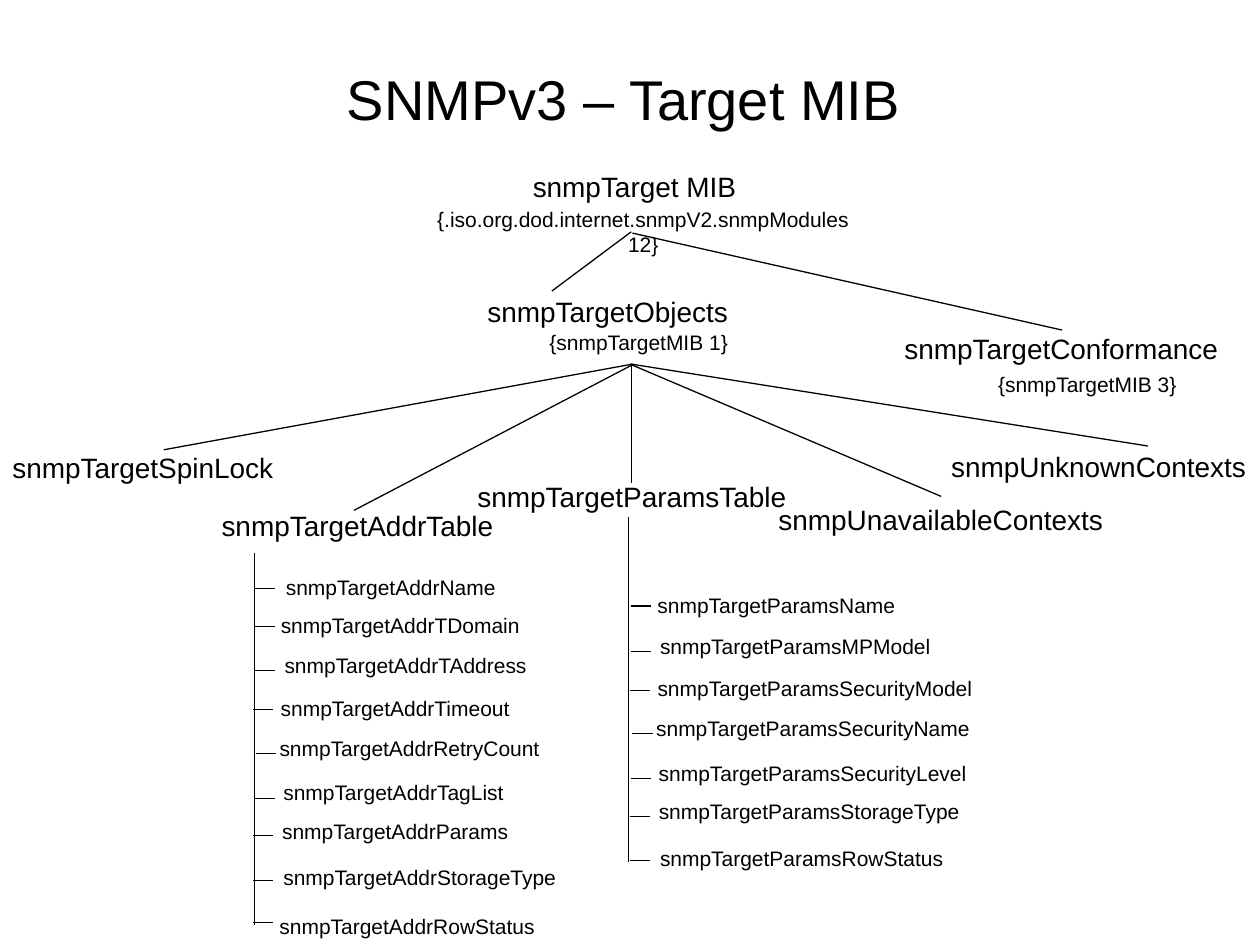
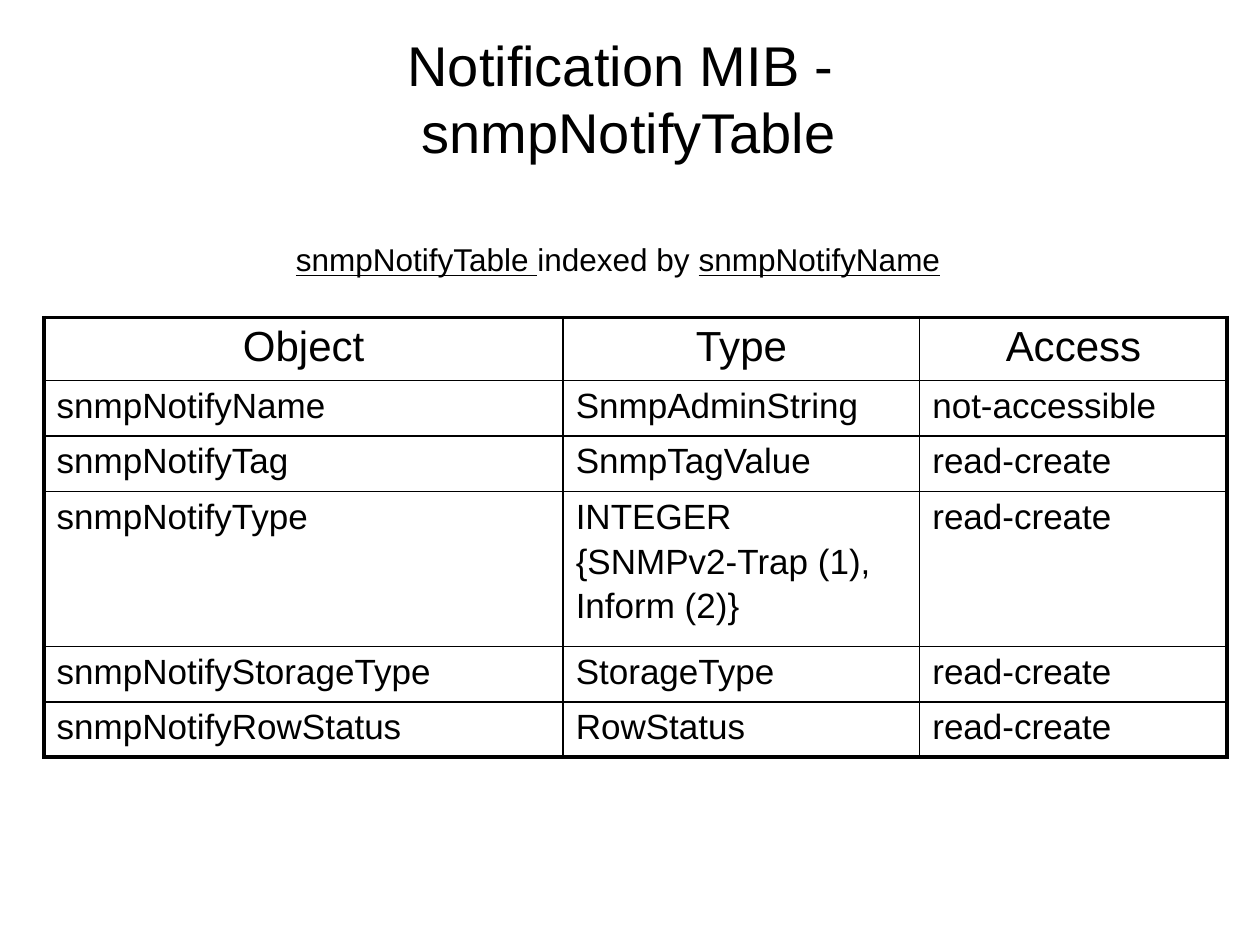
from lxml.etree import SubElement
from pptx import Presentation
from pptx.dml.color import RGBColor
from pptx.enum.shapes import MSO_CONNECTOR
from pptx.enum.text import MSO_ANCHOR, MSO_AUTO_SIZE, PP_ALIGN
from pptx.oxml.ns import qn
from pptx.util import Pt

PX = 9144
BLACK = RGBColor(0, 0, 0)
WHITE = RGBColor(255, 255, 255)
FONT = "Arial"
THIN, THICK = 1, 2.25
TICK_LENGTH = 16

NODES = [
    ("snmpTarget MIB", 413, 130, 185),
    ("snmpTargetObjects", 377, 229, 214),
    ("snmpTargetConformance", 708, 258, 272),
    ("snmpTargetSpinLock", 0, 353, 230),
    ("snmpTargetAddrTable", 166, 399, 241),
    ("snmpTargetParamsTable", 369, 376, 271),
    ("snmpUnavailableContexts", 608, 394, 278),
    ("snmpUnknownContexts", 745, 352, 255),
]
IDENTIFIERS = [
    ("{.iso.org.dod.internet.snmpV2.snmpModules 12}", 323, 159, 375, True),
    ("{snmpTargetMIB 1}", 425, 257, 164, False),
    ("{snmpTargetMIB 3}", 781, 290, 164, False),
]
BRANCHES = [
    (501, 184, 438, 231),
    (502, 185, 843, 262),
    (502, 289, 130, 357),
    (501, 290, 281, 405),
    (501, 289, 501, 383),
    (501, 289, 911, 354),
]
STEMS = [(202, 439, 202, 734), (499, 410, 499, 684)]
COLUMNS = [
    ("snmpTargetAddrName", 217, 451, 188, 202, 467),
    ("snmpTargetAddrTDomain", 213, 481, 211, 202, 497),
    ("snmpTargetAddrTAddress", 216, 513, 215, 202, 532),
    ("snmpTargetAddrTimeout", 213, 547, 204, 201, 563),
    ("snmpTargetAddrRetryCount", 212, 579, 228, 203, 598),
    ("snmpTargetAddrTagList", 215, 614, 198, 202, 634),
    ("snmpTargetAddrParams", 214, 645, 201, 201, 663),
    ("snmpTargetAddrStorageType", 215, 681, 239, 201, 699),
    ("snmpTargetAddrRowStatus", 212, 720, 224, 201, 732),
    ("snmpTargetParamsName", 512, 465, 210, 501, 481),
    ("snmpTargetParamsMPModel", 514, 498, 236, 501, 517),
    ("snmpTargetParamsSecurityModel", 512, 531, 271, 500, 548),
    ("snmpTargetParamsSecurityName", 511, 563, 270, 502, 582),
    ("snmpTargetParamsSecurityLevel", 513, 599, 266, 501, 618),
    ("snmpTargetParamsStorageType", 513, 629, 261, 500, 648),
    ("snmpTargetParamsRowStatus", 514, 666, 247, 500, 683),
]
NOTIFY_ROWS = [
    ("Object", "Type", "Access"),
    ("snmpNotifyName", "SnmpAdminString", "not-accessible"),
    ("snmpNotifyTag", "SnmpTagValue", "read-create"),
    ("snmpNotifyType", "INTEGER\n{SNMPv2-Trap (1),\nInform (2)}", "read-create"),
    ("snmpNotifyStorageType", "StorageType", "read-create"),
    ("snmpNotifyRowStatus", "RowStatus", "read-create"),
]


def write_text(frame, text, size=16, align=PP_ALIGN.LEFT, space_before=0):
    """Put one paragraph per line; \\v breaks a line and _ toggles underline."""
    for index, content in enumerate(text.split("\n")):
        paragraph = frame.add_paragraph() if index else frame.paragraphs[0]
        paragraph.alignment = align
        paragraph.space_before = Pt(space_before if index else 0)
        for line_index, line in enumerate(content.split("\v")):
            if line_index:
                paragraph.add_line_break()
            for part_index, part in enumerate(line.split("_")):
                if not part:
                    continue
                run = paragraph.add_run()
                run.text = part
                run.font.name = FONT
                run.font.size = Pt(size)
                run.font.color.rgb = BLACK
                run.font.underline = part_index % 2 == 1


class Deck:
    def __init__(self):
        self.presentation = Presentation()
        self.presentation.slide_width = 1000 * PX
        self.presentation.slide_height = 750 * PX
        self.slide = None

    def add_slide(self, title, left):
        self.slide = self.presentation.slides.add_slide(
            self.presentation.slide_layouts[5])
        self.slide.background.fill.solid()
        self.slide.background.fill.fore_color.rgb = WHITE
        shape = self.slide.shapes.title
        shape.left, shape.top = left * PX, 15 * PX
        shape.width, shape.height = 900 * PX, 125 * PX
        frame = shape.text_frame
        frame.auto_size = MSO_AUTO_SIZE.NONE
        frame.vertical_anchor = MSO_ANCHOR.MIDDLE
        write_text(frame, title, size=32, align=PP_ALIGN.CENTER)

    def add_label(self, text, left, top, width, height=37, wrap=False, **text_format):
        shape = self.slide.shapes.add_textbox(
            left * PX, top * PX, width * PX, height * PX)
        shape.text_frame.word_wrap = wrap
        shape.text_frame.auto_size = MSO_AUTO_SIZE.SHAPE_TO_FIT_TEXT
        write_text(shape.text_frame, text, **text_format)
        return shape

    def add_line(self, start_x, start_y, end_x, end_y):
        connector = self.slide.shapes.add_connector(
            MSO_CONNECTOR.STRAIGHT,
            start_x * PX, start_y * PX, end_x * PX, end_y * PX)
        connector.line.color.rgb = BLACK
        connector.line.width = Pt(0.75)
        SubElement(connector.element.spPr, qn("a:effectLst"))
        return connector

    def add_borders(self, cell, widths):
        properties = cell._tc.get_or_add_tcPr()
        for side, width in zip("LRTB", widths):
            line = SubElement(properties, qn(f"a:ln{side}"), w=str(Pt(width)))
            fill = SubElement(line, qn("a:solidFill"))
            SubElement(fill, qn("a:srgbClr"), val=str(BLACK))
        cell.fill.background()

    def add_table(self, rows, left, top, column_widths, row_heights):
        table = self.slide.shapes.add_table(
            len(rows), len(column_widths), left * PX, top * PX,
            sum(column_widths) * PX, sum(row_heights) * PX).table
        table.first_row = table.horz_banding = False
        for column, width in zip(table.columns, column_widths):
            column.width = width * PX
        last_row, last_column = len(rows) - 1, len(column_widths) - 1
        for row_index, values in enumerate(rows):
            table.rows[row_index].height = row_heights[row_index] * PX
            for column_index, value in enumerate(values):
                cell = table.cell(row_index, column_index)
                outer = (column_index == 0, column_index == last_column,
                         row_index == 0, row_index == last_row)
                self.add_borders(cell, [THICK if edge else THIN for edge in outer])
                header = row_index == 0
                write_text(cell.text_frame, value, size=24 if header else 20,
                           align=PP_ALIGN.CENTER if header else PP_ALIGN.LEFT,
                           space_before=3.3)


def build_target_slide(deck):
    deck.add_slide("SNMPv3 – Target MIB", 45)
    nodes = {name: deck.add_label(name, left, top, width)
             for name, left, top, width in NODES}
    for text, left, top, width, wrap in IDENTIFIERS:
        deck.add_label(text, left, top, width, height=30, wrap=wrap,
                       size=12, align=PP_ALIGN.CENTER)
    for line in BRANCHES + STEMS:
        deck.add_line(*line)
    unavailable = deck.add_line(500, 289, 743, 394)
    unavailable.end_connect(nodes["snmpUnavailableContexts"], 0)
    for name, left, top, width, tick_left, tick_top in COLUMNS:
        deck.add_line(tick_left, tick_top, tick_left + TICK_LENGTH, tick_top)
        deck.add_label(name, left, top, width, height=30, size=12)


def build_notification_slide(deck):
    deck.add_slide("Notification MIB - \vsnmpNotifyTable", 49)
    deck.add_label("_snmpNotifyTable _indexed by _snmpNotifyName_",
                   225, 186, 534, height=40, size=18)
    deck.add_table(NOTIFY_ROWS, 35, 252, [412, 283, 244],
                   [50, 44, 44, 123, 44, 44])


def main():
    deck = Deck()
    build_target_slide(deck)
    build_notification_slide(deck)
    deck.presentation.save("out.pptx")


if __name__ == "__main__":
    main()
